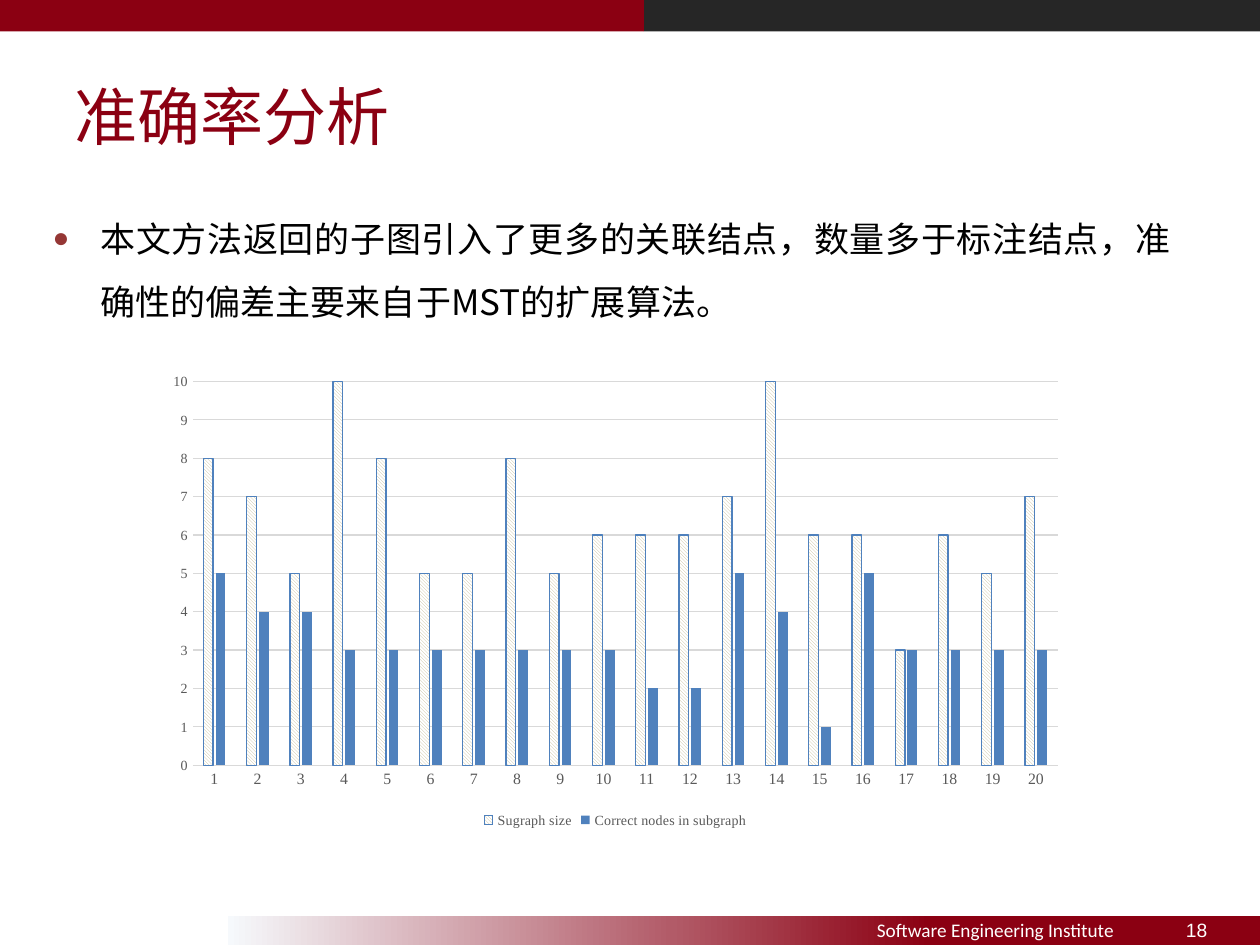
from lxml import etree
from pptx import Presentation
from pptx.chart.data import CategoryChartData
from pptx.dml.color import RGBColor
from pptx.enum.chart import XL_CHART_TYPE, XL_LEGEND_POSITION, XL_TICK_MARK
from pptx.enum.dml import MSO_PATTERN
from pptx.enum.shapes import MSO_SHAPE
from pptx.enum.text import MSO_ANCHOR, PP_ALIGN
from pptx.oxml.ns import qn
from pptx.util import Inches, Pt

RECT = MSO_SHAPE.RECTANGLE
COLUMN = XL_CHART_TYPE.COLUMN_CLUSTERED
BOTTOM = XL_LEGEND_POSITION.BOTTOM
NO_TICK = XL_TICK_MARK.NONE
HATCH = MSO_PATTERN.DARK_DOWNWARD_DIAGONAL
TOP, MIDDLE = MSO_ANCHOR.TOP, MSO_ANCHOR.MIDDLE
LEFT, RIGHT, JUSTIFY = PP_ALIGN.LEFT, PP_ALIGN.RIGHT, PP_ALIGN.JUSTIFY

RED, DARK, WHITE, BLACK = "8B0012", "262626", "FFFFFF", "000000"
BLUE, GRAY, RULE, SAND = "4F81BD", "595959", "D9D9D9", "C4BD97"
HAN, SERIF = "Noto Sans CJK SC", "Times New Roman"

SIZES = [8, 7, 5, 10, 8, 5, 5, 8, 5, 6, 6, 6, 7, 10, 6, 6, 3, 6, 5, 7]
CORRECT = [5, 4, 4, 3, 3, 3, 3, 3, 3, 3, 2, 2, 5, 4, 1, 5, 3, 3, 3, 3]


def rgb(code):
    return RGBColor.from_string(code)


def node(parent, tag, **attrs):
    return etree.SubElement(parent, qn(tag), attrs)


def assign(target, values):
    for name, value in values.items():
        setattr(target, name, value)


class Deck:
    def __init__(self):
        self.prs = Presentation()
        assign(self.prs, {"slide_width": Inches(10), "slide_height": Inches(7.5)})
        self.slide = self.prs.slides.add_slide(self.prs.slide_layouts[6])

    def font(self, font, size, color, name):
        assign(font, {"size": Pt(size), "name": name, "bold": False})
        font.color.rgb = rgb(color)

    def line(self, line, color):
        line.color.rgb = rgb(color)
        line.width = Pt(0.75)

    def bar(self, box, color):
        bar = self.slide.shapes.add_shape(RECT, *map(Inches, box))
        bar.shadow.inherit = False
        bar.fill.solid()
        bar.fill.fore_color.rgb = rgb(color)
        bar.line.fill.background()
        return bar

    def fade(self, box, stops):
        """Add a bar whose fill runs left to right through (percent, color) stops."""
        bar = self.bar(box, stops[-1][1])
        bar.fill.gradient()
        bar.fill.gradient_angle = 0
        track = bar.fill._fill._gradFill.find(qn("a:gsLst"))
        track.clear()
        for percent, color in stops:
            stop = node(track, "a:gs", pos=str(percent * 1000))
            node(stop, "a:srgbClr", val=color)

    def text(self, box, words, size, color, name, align=LEFT, anchor=MIDDLE,
             space=1.0, inset=0.1, bullet=None):
        frame = self.slide.shapes.add_textbox(*map(Inches, box)).text_frame
        assign(frame, {"word_wrap": True, "vertical_anchor": anchor,
                       "margin_left": Inches(inset), "margin_right": Inches(inset)})
        para = frame.paragraphs[0]
        assign(para, {"alignment": align, "line_spacing": space})
        if bullet:
            self.bullet(para, bullet)
        run = para.add_run()
        run.text = words
        self.font(run.font, size, color, name)
        node(run.font._element, "a:ea", typeface=name)

    def bullet(self, para, color):
        props = para._p.get_or_add_pPr()
        props.set("marL", str(Inches(0.44)))
        props.set("indent", str(Inches(-0.38)))
        node(node(props, "a:buClr"), "a:srgbClr", val=color)
        node(props, "a:buSzPct", val="80000")
        node(props, "a:buFont", typeface="Arial")
        node(props, "a:buChar", char="●")

    def chart(self, box, cats, series):
        data = CategoryChartData()
        data.categories = cats
        for name, values in series:
            data.add_series(name, values)
        frame = self.slide.shapes.add_chart(COLUMN, *map(Inches, box), data)
        chart = frame.chart
        assign(chart, {"has_title": False, "has_legend": True})
        self.font(chart.font, 10, BLACK, SERIF)
        assign(chart.legend, {"position": BOTTOM, "include_in_layout": False})
        self.font(chart.legend.font, 8, GRAY, SERIF)

        plot = chart.plots[0]
        assign(plot, {"gap_width": 219, "overlap": -27, "vary_by_categories": False})
        size, correct = plot.series
        size.format.fill.patterned()
        size.format.fill.pattern = HATCH
        size.format.fill.fore_color.rgb = rgb(SAND)
        size.format.fill.back_color.rgb = rgb(WHITE)
        self.line(size.format.line, BLUE)
        correct.format.fill.solid()
        correct.format.fill.fore_color.rgb = rgb(BLUE)

        across, up = chart.category_axis, chart.value_axis
        for axis, points in ((across, 9), (up, 8)):
            assign(axis, {"major_tick_mark": NO_TICK, "minor_tick_mark": NO_TICK})
            self.font(axis.tick_labels.font, points, GRAY, SERIF)
        self.line(across.format.line, RULE)
        assign(up, {"minimum_scale": 0, "maximum_scale": 10, "major_unit": 1})
        up.format.line.fill.background()
        self.line(up.major_gridlines.format.line, RULE)


def main():
    deck = Deck()
    deck.fade((1.81, 7.27, 8.19, 0.24),
              [(0, "F6F9FC"), (43, "B25B68"), (68, RED), (100, RED)])
    deck.bar((5.11, 0, 4.89, 0.25), DARK)
    deck.bar((0, 0, 5.11, 0.25), RED)
    deck.text((0.43, 0.56, 8.92, 0.79), "准确率分析", 36, RED, HAN,
              space=0.9, inset=0.16)
    deck.text((9.09, 7.26, 0.59, 0.24), "18", 11, WHITE, "Arial", RIGHT)
    deck.text((5, 7.26, 3.94, 0.24), "Software Engineering Institute",
              11, WHITE, "Calibri", RIGHT)
    deck.text((0.26, 1.51, 9.13, 1.52),
              "本文方法返回的子图引入了更多的关联结点，数量多于标注结点，"
              "准确性的偏差主要来自于MST的扩展算法。",
              20, BLACK, HAN, JUSTIFY, TOP, space=1.5, bullet="953735")
    deck.chart((1.23, 2.89, 7.31, 3.72), [str(n) for n in range(1, 21)],
               [("Sugraph size", SIZES), ("Correct nodes in subgraph", CORRECT)])
    deck.prs.save("out.pptx")


if __name__ == "__main__":
    main()
